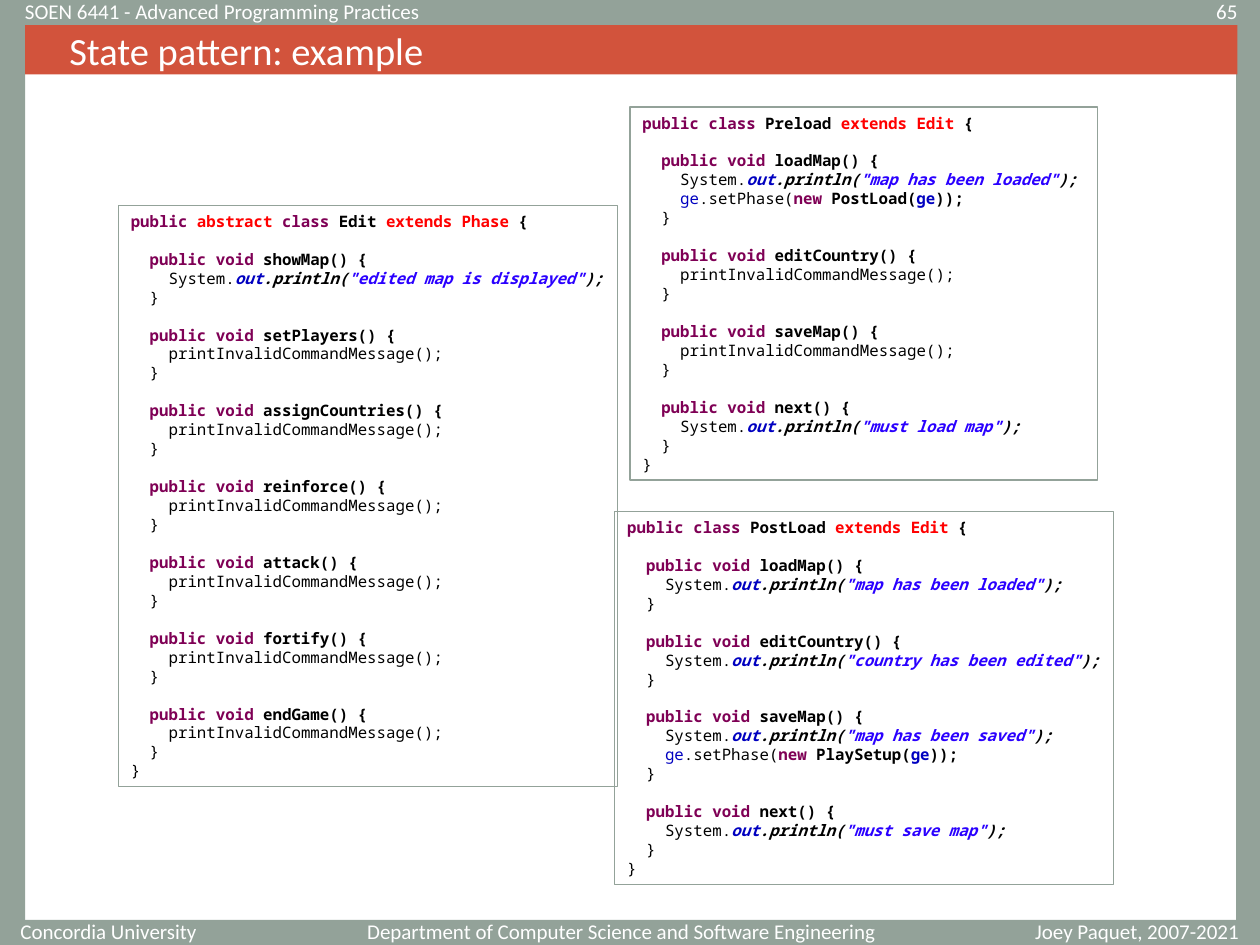
from dataclasses import dataclass

from pptx import Presentation
from pptx.dml.color import RGBColor
from pptx.enum.shapes import MSO_SHAPE as Preset
from pptx.enum.text import MSO_ANCHOR as Anchor, MSO_AUTO_SIZE as AutoSize, PP_ALIGN as Align
from pptx.util import Inches, Pt

COLORS = {
    "white": "FFFFFF",
    "sage": "93A299",
    "brick": "D2533C",
    "black": "000000",
    "keyword": "7F0055",
    "change": "FF0000",
    "field": "0000C0",
    "string": "2A00FF",
}
COLUMNS, ROWS = 100, 75
SLIDE_WIDTH, SLIDE_HEIGHT = Inches(10), Inches(7.5)
CODE_LINE = Pt(10.84)

Run = tuple[str, str, bool, bool]
Line = list[Run]


@dataclass(frozen=True)
class Frame:
    column: float
    row: float
    columns: float
    rows: float

    def lengths(self) -> tuple[int, int, int, int]:
        across, down = SLIDE_WIDTH / COLUMNS, SLIDE_HEIGHT / ROWS
        return (round(self.column * across), round(self.row * down),
                round(self.columns * across), round(self.rows * down))


@dataclass(frozen=True)
class Label:
    text: str
    frame: Frame
    align: Align


@dataclass(frozen=True)
class Method:
    name: str
    body: list[Line]


@dataclass(frozen=True)
class Listing:
    frame: Frame
    wrap: bool
    header: Line
    methods: list[Method]


def plain(text: str) -> Run:
    return text, "black", False, False


def bold(text: str, color: str = "black") -> Run:
    return text, color, True, False


def slanted(text: str, color: str = "black") -> Run:
    return text, color, True, True


def print_line(message: str) -> Line:
    return [plain("    System."), slanted("out", "field"), slanted(".println("),
            slanted(f'"{message}"', "string"), slanted(");")]


def phase_line(phase: str) -> Line:
    return [("    ge", "field", False, False), plain(".setPhase("), bold("new", "keyword"),
            bold(f" {phase}("), bold("ge", "field"), bold("));")]


def phase_header(name: str) -> Line:
    return [bold("public class", "keyword"), bold(f" {name} "),
            bold("extends Edit ", "change"), bold("{")]


INVALID = [[plain("    printInvalidCommandMessage();")]]
LOADED = print_line("map has been loaded")

BANDS = [Frame(0, 0, 100, 2), Frame(0, 73, 100, 2),
         Frame(0, 0, 2, 74.4), Frame(98.1, 1.8, 1.9, 73.2)]
TITLE_FRAME = Frame(2, 2, 96.2, 3.9)
LABELS = [
    Label("Concordia University", Frame(0.3, 73.3, 16.3, 1.2), Align.RIGHT),
    Label("Department of Computer Science and Software Engineering",
          Frame(28, 73.3, 42.5, 1.2), Align.RIGHT),
    Label("Joey Paquet, 2007-2021", Frame(79.9, 73.3, 20.7, 1.2), Align.CENTER),
    Label("65", Frame(87.5, 0.3, 11.7, 1.2), Align.RIGHT),
    Label("SOEN 6441 - Advanced Programming Practices", Frame(1, 0.3, 56, 1.2), Align.LEFT),
]
LISTINGS = [
    Listing(Frame(50, 8.5, 37.1, 29.6), True, phase_header("Preload"), [
        Method("loadMap", [LOADED, phase_line("PostLoad")]),
        Method("editCountry", INVALID),
        Method("saveMap", INVALID),
        Method("next", [print_line("must load map")]),
    ]),
    Listing(Frame(48.8, 40.6, 39.6, 29.6), False, phase_header("PostLoad"), [
        Method("loadMap", [LOADED]),
        Method("editCountry", [print_line("country has been edited")]),
        Method("saveMap", [print_line("map has been saved"), phase_line("PlaySetup")]),
        Method("next", [print_line("must save map")]),
    ]),
    Listing(Frame(9.4, 16.3, 39.6, 46.1), False,
            [bold("public ", "keyword"), bold("abstract ", "change"), bold("class", "keyword"),
             bold(" Edit "), bold("extends Phase ", "change"), bold("{")],
            [Method("showMap", [print_line("edited map is displayed")])]
            + [Method(name, INVALID) for name in
               ("setPlayers", "assignCountries", "reinforce", "attack", "fortify", "endGame")]),
]


def rgb(color: str) -> RGBColor:
    return RGBColor.from_string(COLORS[color])


def apply(target, values: dict) -> None:
    for attribute, value in values.items():
        setattr(target, attribute, value)


def add_run(paragraph, text: str, color: str, values: dict) -> None:
    run = paragraph.add_run()
    run.text = text
    apply(run.font, values)
    run.font.color.rgb = rgb(color)


def draw_band(slide, frame: Frame, color: str):
    band = slide.shapes.add_shape(Preset.RECTANGLE, *frame.lengths())
    band.shadow.inherit = False
    band.fill.solid()
    band.fill.fore_color.rgb = rgb(color)
    band.line.fill.background()
    return band


def draw_title(slide, text: str) -> None:
    title = draw_band(slide, TITLE_FRAME, "brick").text_frame
    apply(title, {"margin_left": Inches(0.35), "word_wrap": True,
                  "vertical_anchor": Anchor.MIDDLE})
    heading = title.paragraphs[0]
    heading.alignment = Align.LEFT
    add_run(heading, text, "white", {"name": "Calibri", "size": Pt(22)})


def draw_label(slide, label: Label) -> None:
    caption = slide.shapes.add_textbox(*label.frame.lengths()).text_frame
    apply(caption, {"word_wrap": True, "vertical_anchor": Anchor.MIDDLE})
    caption.paragraphs[0].alignment = label.align
    add_run(caption.paragraphs[0], label.text, "white", {"name": "Calibri", "size": Pt(12)})


def draw_listing(slide, listing: Listing) -> None:
    panel = slide.shapes.add_shape(Preset.RECTANGLE, *listing.frame.lengths())
    panel.shadow.inherit = False
    panel.fill.background()
    panel.line.color.rgb = rgb("sage")
    panel.line.width = Pt(0.75)
    code = panel.text_frame
    apply(code, {"word_wrap": listing.wrap, "auto_size": AutoSize.SHAPE_TO_FIT_TEXT,
                 "vertical_anchor": Anchor.TOP})

    spaced_lines = [(listing.header, 0)]
    for method in listing.methods:
        signature = [bold("  public void", "keyword"), bold(f" {method.name}() {{")]
        spaced_lines.append((signature, CODE_LINE))
        spaced_lines += [(line, 0) for line in [*method.body, [plain("  }")]]]
    spaced_lines.append(([plain("}")], 0))

    for index, (line, gap) in enumerate(spaced_lines):
        paragraph = code.add_paragraph() if index else code.paragraphs[0]
        apply(paragraph, {"alignment": Align.LEFT, "space_before": gap})
        for text, color, strong, italic in line:
            add_run(paragraph, text, color, {"name": "Noto Sans Mono", "size": Pt(9),
                                             "bold": strong, "italic": italic})


def main() -> None:
    deck = Presentation()
    apply(deck, {"slide_width": SLIDE_WIDTH, "slide_height": SLIDE_HEIGHT})
    slide = deck.slides.add_slide(deck.slide_layouts[6])
    for band in BANDS:
        draw_band(slide, band, "sage")
    draw_title(slide, "State pattern: example")
    for label in LABELS:
        draw_label(slide, label)
    for listing in LISTINGS:
        draw_listing(slide, listing)
    deck.save("out.pptx")


if __name__ == "__main__":
    main()
